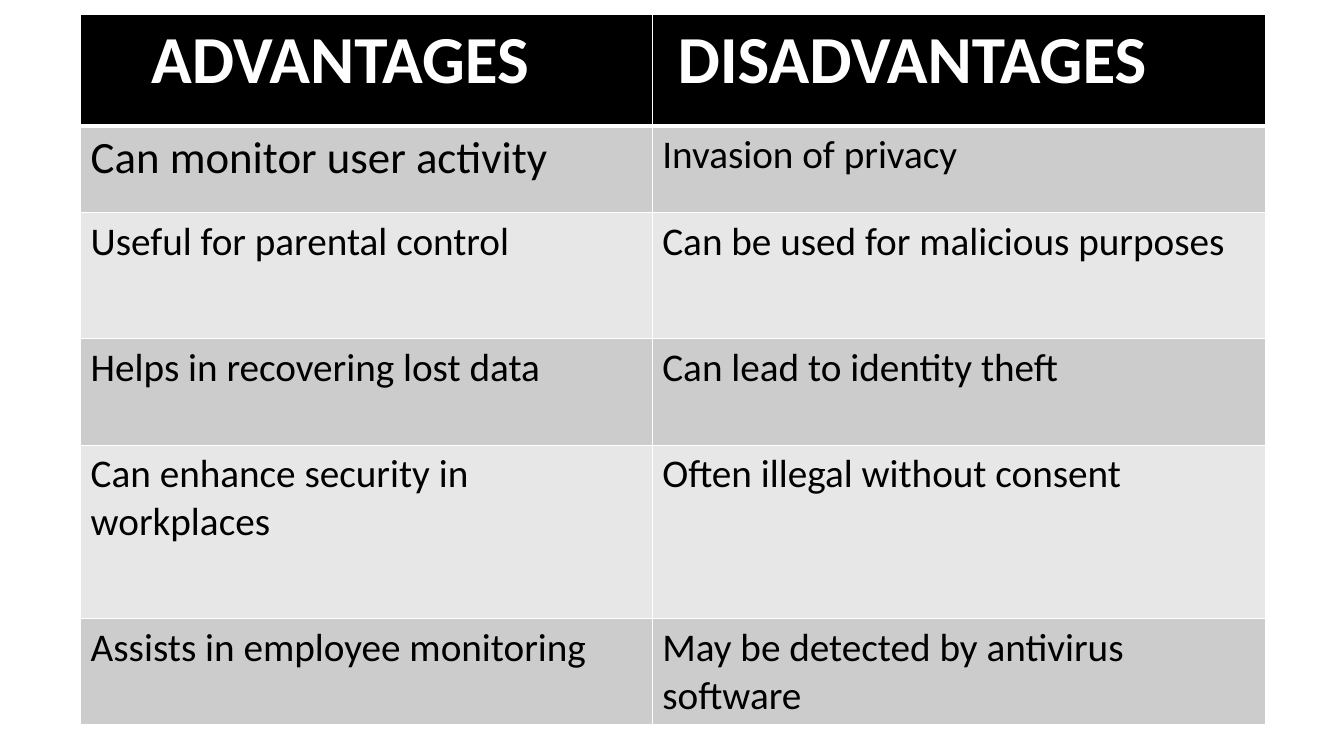
from lxml import etree
from pptx import Presentation
from pptx.dml.color import RGBColor
from pptx.oxml.ns import qn
from pptx.util import Inches, Pt

# Content
ROWS = [
    ("ADVANTAGES", "DISADVANTAGES"),
    ("Can monitor user activity", "Invasion of privacy"),
    ("Useful for parental control", "Can be used for malicious purposes"),
    ("Helps in recovering lost data", "Can lead to identity theft"),
    ("Can enhance security in workplaces", "Often illegal without consent"),
    ("Assists in employee monitoring", "May be detected by antivirus software"),
]

# Layout in inches, text in points
LEFT, TOP = 0.8, 0.14
COLS = [5.67, 6.08]
HEIGHTS = [1.11, 0.86, 1.25, 1.06, 1.72, 1.05]
INDENTS = [0.7, 0.25]
HEAD, BODY = 48, 28
SIZES = {(1, 0): 32}
FONT = "Calibri"
BLACK, WHITE = "000000", "FFFFFF"
BANDS = ["E7E7E7", "CCCCCC"]


def color(code):
    return RGBColor.from_string(code)


def edge(cell, widths):
    """Draw white borders; widths maps each side to points."""
    props = cell._tc.get_or_add_tcPr()
    for spot, (side, width) in enumerate(widths.items()):
        line = etree.Element(qn("a:ln" + side), w=str(Pt(width)))
        fill = etree.SubElement(line, qn("a:solidFill"))
        etree.SubElement(fill, qn("a:srgbClr"), val=WHITE)
        props.insert(spot, line)


def style(cell, text, row, col):
    head = row == 0
    cell.fill.solid()
    cell.fill.fore_color.rgb = color(BLACK if head else BANDS[row % 2])
    edge(cell, {"L": 1, "R": 1, "T": 3 if row == 1 else 1, "B": 3 if head else 1})
    if head:
        cell.margin_left = Inches(INDENTS[col])
    cell.text_frame.text = text
    font = cell.text_frame.paragraphs[0].runs[0].font
    font.name = FONT
    font.size = Pt(HEAD if head else SIZES.get((row, col), BODY))
    font.bold = head
    font.color.rgb = color(WHITE if head else BLACK)


def main():
    deck = Presentation()
    deck.slide_width, deck.slide_height = Inches(13.33), Inches(7.5)
    slide = deck.slides.add_slide(deck.slide_layouts[6])

    # Comparison table
    table = slide.shapes.add_table(
        len(ROWS), len(COLS), Inches(LEFT), Inches(TOP),
        Inches(sum(COLS)), Inches(sum(HEIGHTS))).table
    for col, width in enumerate(COLS):
        table.columns[col].width = Inches(width)
    for row, texts in enumerate(ROWS):
        table.rows[row].height = Inches(HEIGHTS[row])
        for col, text in enumerate(texts):
            style(table.cell(row, col), text, row, col)

    deck.save("out.pptx")


if __name__ == "__main__":
    main()
